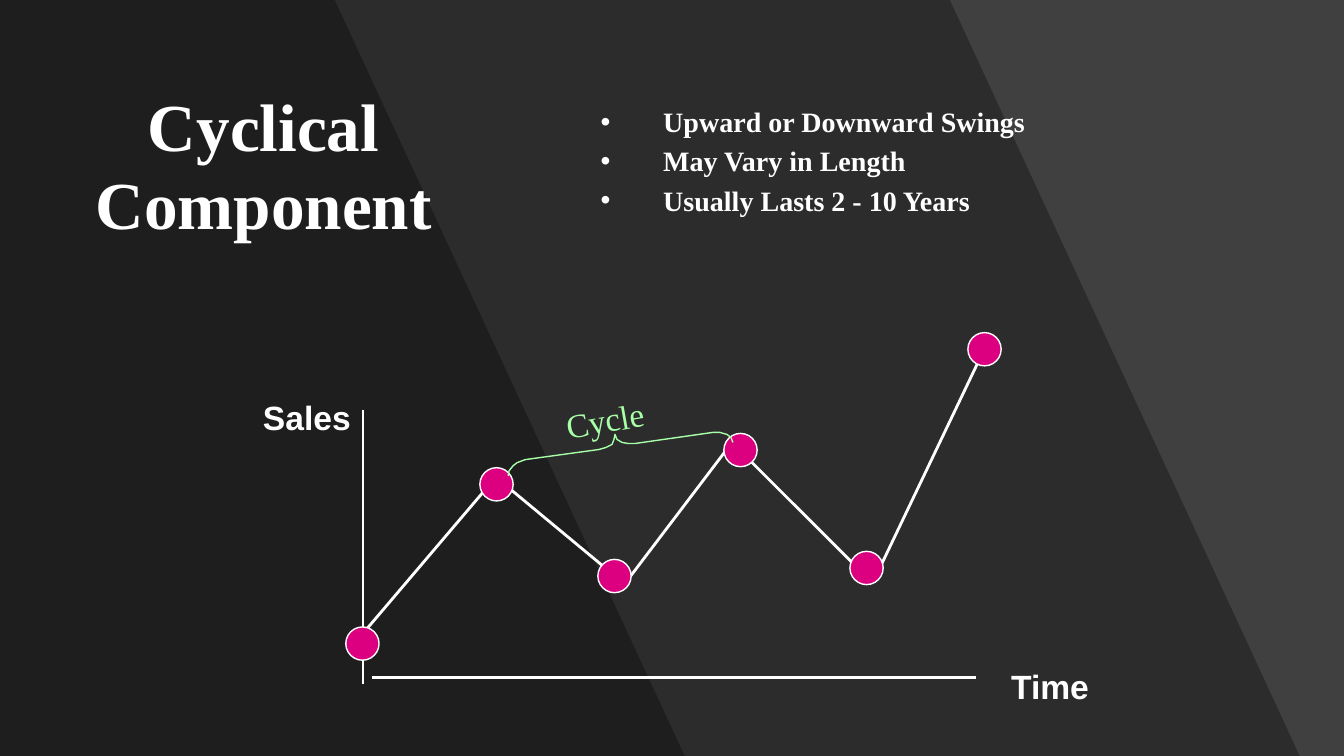
from dataclasses import dataclass
from itertools import pairwise

from pptx import Presentation
from pptx import util as u
from pptx.dml.color import RGBColor
from pptx.enum import shapes, text
from pptx.oxml.ns import qn
from lxml import etree


@dataclass(frozen=True)
class Theme:
    back: str = "404040"
    shade: str = "000000"
    shade_alpha: int = 30
    white: str = "FFFFFF"
    dot: str = "DC0081"
    cycle: str = "A7FFA7"
    serif: str = "Times New Roman"
    sans: str = "Arial"
    title: int = 48
    body: int = 20
    label: int = 24
    axis_line: float = 2
    thin_line: float = 1


T = Theme()
W, H = 13.33, 7.5


def rgb(color):
    return RGBColor.from_string(color)


def set_line(sp, color, width):
    sp.line.color.rgb = rgb(color)
    sp.line.width = u.Pt(width)


def add_text(s, box, lines, fmt, color, anchor=text.MSO_ANCHOR.TOP, para=None):
    """Add a wrapped text box with one paragraph for each line."""
    sp = s.shapes.add_textbox(*map(u.Inches, box))
    tf = sp.text_frame
    tf.word_wrap = True
    tf.vertical_anchor = anchor
    for i, line in enumerate(lines):
        p = tf.paragraphs[0] if i == 0 else tf.add_paragraph()
        for name, value in (para or {}).items():
            setattr(p, name, value)
        r = p.add_run()
        r.text = line
        for name, value in fmt.items():
            setattr(r.font, name, value)
        r.font.color.rgb = rgb(color)
    return sp


def add_outline(s, box, points, close):
    """Draw points, given relative to the box corner, as one outline."""
    left, top = box[:2]
    start, *rest = [(u.Inches(left + x), u.Inches(top + y)) for x, y in points]
    builder = s.shapes.build_freeform(*start)
    builder.add_line_segments(rest, close=close)
    sp = builder.convert_to_shape()
    sp.shadow.inherit = False
    return sp


def add_rule(s, start, end):
    sp = s.shapes.add_connector(
        shapes.MSO_CONNECTOR.STRAIGHT, *map(u.Inches, (*start, *end)))
    set_line(sp, T.white, T.axis_line)
    etree.SubElement(sp._element.spPr, qn("a:effectLst"))


def backdrop(s, box):
    """Darken the left of the slide with two slanted, see-through bands."""
    s.background.fill.solid()
    s.background.fill.fore_color.rgb = rgb(T.back)
    height = box[3]
    for top_right, bottom_right in ((9.42, 12.89), (3.32, 6.79)):
        band = [(0, 0), (top_right, 0), (bottom_right, height), (0, height)]
        sp = add_outline(s, box, band, close=True)
        sp.fill.solid()
        sp.fill.fore_color.rgb = rgb(T.shade)
        sp.line.fill.background()
        color = sp._element.spPr.find(qn("a:solidFill"))[0]
        etree.SubElement(color, qn("a:alpha"), val=str(T.shade_alpha * 1000))


def heading(s, box):
    add_text(s, box, ["Cyclical Component"],
             {"name": T.serif, "size": u.Pt(T.title), "bold": True}, T.white,
             text.MSO_ANCHOR.MIDDLE,
             {"alignment": text.PP_ALIGN.CENTER, "line_spacing": 0.97})


def bullets(s, box):
    lines = ["Upward or Downward Swings", "May Vary in Length",
             "Usually Lasts 2 - 10 Years"]
    sp = add_text(s, box, lines,
                  {"name": T.serif, "size": u.Pt(T.body), "bold": True},
                  T.white, text.MSO_ANCHOR.MIDDLE, {"space_before": u.Pt(4)})
    sp.text_frame.margin_bottom = u.Inches(0.44)
    indent = u.Inches(0.62)
    for p in sp.text_frame.paragraphs:
        pPr = p._p.get_or_add_pPr()
        pPr.set("marL", str(indent))
        pPr.set("indent", str(-indent))
        etree.SubElement(pPr, qn("a:buFont"), typeface=T.sans)
        etree.SubElement(pPr, qn("a:buChar"), char="•")


def cycle_diagram(s, box):
    """Draw the axes, the swinging sales line and the marked cycle."""
    left, top, width, height = box

    def at(x, y):
        return left + x, top + y

    add_rule(s, at(1.09, 0.77), at(1.09, 3.49))
    add_rule(s, at(1.18, 3.42), at(7.17, 3.42))
    axis_font = {"name": T.sans, "size": u.Pt(T.label), "bold": True}
    for label, x, y in (("Sales", 0, 0.59), ("Time", 7.42, 3.26)):
        add_text(s, (*at(x, y), 1.58, 0.5), [label], axis_font, T.white)

    swings = [((1.0, 3.09), (2.42, 1.42)), ((2.5, 1.51), (3.5, 2.34)),
              ((3.68, 2.5), (4.75, 1.09)), ((4.93, 1.27), (6.0, 2.34)),
              ((6.18, 2.41), (7.25, 0.17))]
    for start, end in swings:
        add_rule(s, at(*start), at(*end))

    size = 0.33
    dots = [(0.92, 2.92), (2.25, 1.34), (3.42, 2.25), (4.67, 1.0),
            (5.92, 2.17), (7.09, 0)]
    for dot in dots:
        sp = s.shapes.add_shape(shapes.MSO_SHAPE.OVAL,
                                *map(u.Inches, (*at(*dot), size, size)))
        sp.shadow.inherit = False
        sp.fill.solid()
        sp.fill.fore_color.rgb = rgb(T.dot)
        set_line(sp, T.white, T.thin_line)

    brace = [(2.23, 0.1), (2.21, 0.05), (2.17, 0.02), (2.1, 0), (2.03, 0),
             (1.26, 0.11), (1.19, 0.11), (1.13, 0.1), (1.08, 0.07),
             (1.06, 0.02), (1.05, 0.07), (1.03, 0.12), (0.97, 0.15),
             (0.9, 0.17), (0.17, 0.27), (0.09, 0.3), (0.05, 0.33),
             (0.01, 0.38), (0, 0.43)]
    sp = add_outline(s, at(2.53, 0.99), brace, close=False)
    sp.fill.background()
    set_line(sp, T.cycle, T.thin_line)
    sp = add_text(s, (*at(3.0, 0.59), 1.25, 0.5), ["Cycle"],
                  {"name": T.serif, "size": u.Pt(T.label)}, T.cycle)
    sp.rotation = 350


def main():
    prs = Presentation()
    prs.slide_width, prs.slide_height = u.Inches(W), u.Inches(H)
    s = prs.slides.add_slide(prs.slide_layouts[6])
    backdrop(s, (0, 0, W, H))
    heading(s, (0.44, 0.4, 4.35, 2.51))
    bullets(s, (5.86, 0.4, 6.56, 2.78))
    cycle_diagram(s, (2.51, 3.3, 9.0, 3.76))
    prs.save("out.pptx")


if __name__ == "__main__":
    main()
